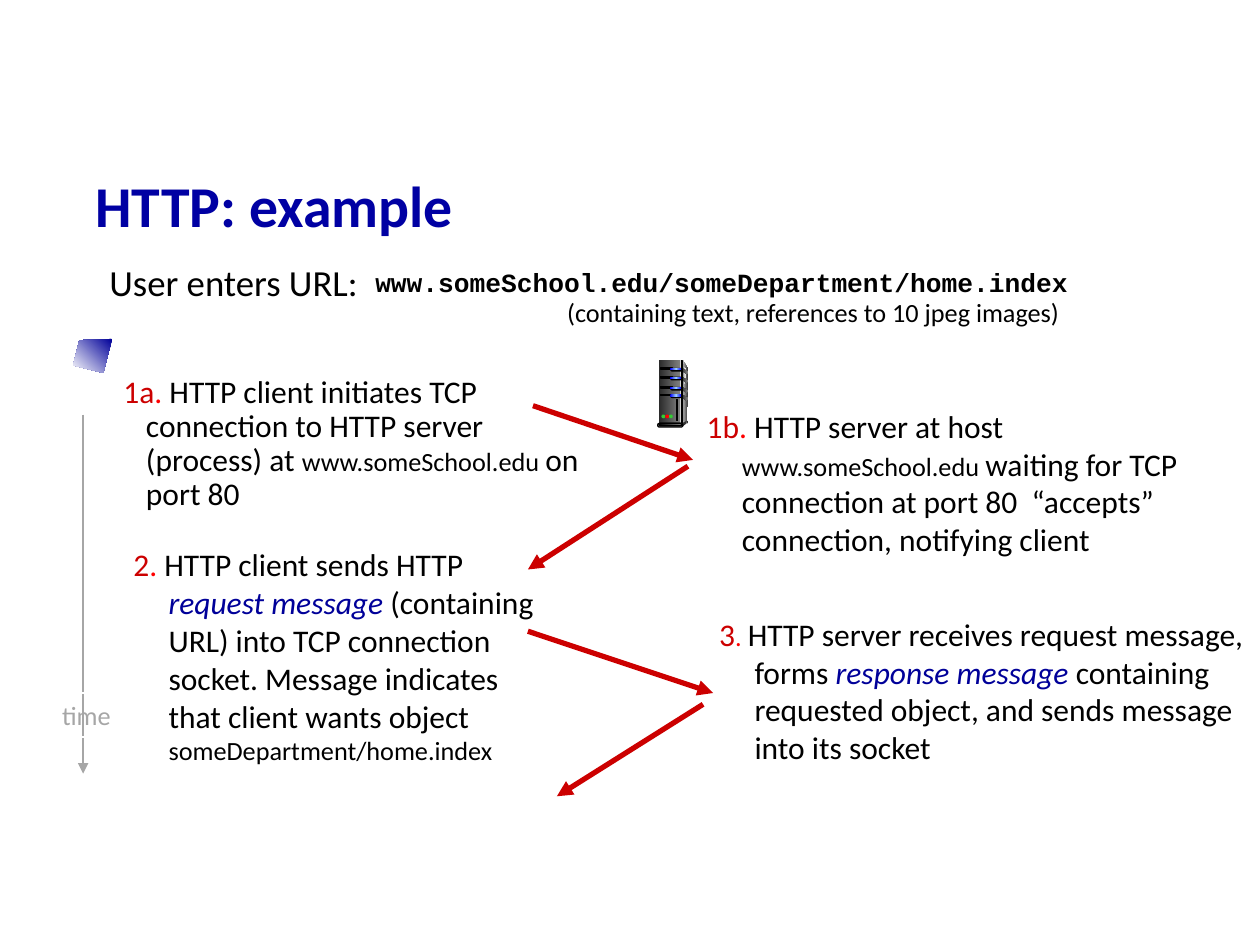
from lxml import etree
from pptx import Presentation
from pptx.dml.color import RGBColor
from pptx.enum.shapes import MSO_CONNECTOR, MSO_SHAPE
from pptx.enum.text import MSO_ANCHOR, PP_ALIGN
from pptx.oxml.ns import qn
from pptx.util import Inches, Pt

COLS, ROWS = 100, 75
CELL = Inches(10) / COLS

COLORS = {
    "title": "0000A3", "text": "000000", "step": "CC0000", "dot": "FF0000",
    "message": "000099", "time": "A6A6A6", "white": "FFFFFF",
    "dark": "292929", "edge": "333333", "mid": "808080", "pale": "DDDDDD",
    "shine": "F8F8F8", "blue": "0000FF", "sky": "99CCFF", "green": "33CC33",
}
DARK_METAL = ("dark", "mid")


def grid(*cells):
    return [round(c * CELL) for c in cells]


def rgb(name):
    return RGBColor.from_string(COLORS[name])


def set_fill(sp, fill, angle=0):
    """Fill with one colour name, or with a gradient when given a tuple of names."""
    if fill is None:
        sp.fill.background()
    elif isinstance(fill, str):
        sp.fill.solid()
        sp.fill.fore_color.rgb = rgb(fill)
    else:
        sp.fill.gradient()
        stops = sp._element.spPr.find(".//" + qn("a:gsLst"))
        for gs in list(stops):
            stops.remove(gs)
        for i, name in enumerate(fill):
            gs = etree.SubElement(stops, qn("a:gs"), pos=str(100000 * i // (len(fill) - 1)))
            etree.SubElement(gs, qn("a:srgbClr"), val=COLORS[name])
        stops.getparent().find(qn("a:lin")).set("ang", str(angle * 60000))


def style(sp, fill, line=None, angle=0):
    sp.shadow.inherit = False
    set_fill(sp, fill, angle)
    if line:
        sp.line.color.rgb = rgb(line)
        sp.line.width = Pt(0.75)
    else:
        sp.line.fill.background()
    return sp


def add_block(shapes, at, fill, line=None, kind=MSO_SHAPE.RECTANGLE):
    sp = shapes.add_shape(kind, *grid(*at))
    if kind == MSO_SHAPE.ROUNDED_RECTANGLE:
        sp.adjustments[0] = 0.5
    return style(sp, fill, line)


def add_polygon(shapes, points, fill, angle=0):
    start, *rest = [grid(*pt) for pt in points]
    builder = shapes.build_freeform(*start)
    builder.add_line_segments(rest, close=True)
    return style(builder.convert_to_shape(), fill, angle=angle)


def add_arrow(shapes, start, end, color="step", width=3):
    cn = shapes.add_connector(MSO_CONNECTOR.STRAIGHT, *grid(*start, *end))
    cn.line.color.rgb = rgb(color)
    cn.line.width = Pt(width)
    etree.SubElement(cn.line._get_or_add_ln(), qn("a:tailEnd"), type="triangle")
    etree.SubElement(cn._element.spPr, qn("a:effectLst"))


def write(sp, runs, size=18, font="Calibri", bold=False, spacing=None, align=PP_ALIGN.LEFT,
          anchor=MSO_ANCHOR.TOP, indent=(0, 0), wrap=True):
    """Write runs of (text, colour, size, italic); the last two may be left out."""
    tf = sp.text_frame
    tf.word_wrap = wrap
    tf.vertical_anchor = anchor
    p = tf.paragraphs[0]
    p.alignment = align
    p.line_spacing = spacing
    margin, first = grid(*indent)
    pPr = p._p.get_or_add_pPr()
    pPr.set("marL", str(margin))
    pPr.set("indent", str(first))
    for text, color, run_size, italic in ((*r, size, False)[:4] if len(r) == 2
                                          else (*r, False)[:4] for r in runs):
        r = p.add_run()
        r.text = text
        r.font.name = font
        r.font.size = Pt(run_size)
        r.font.bold = bold
        r.font.italic = italic
        r.font.color.rgb = rgb(color)


def add_text(shapes, at, runs, **fmt):
    write(shapes.add_textbox(*grid(*at)), runs, **fmt)


def add_server(shapes):
    g = shapes.add_group_shape().shapes
    rounded, oval = MSO_SHAPE.ROUNDED_RECTANGLE, MSO_SHAPE.OVAL
    add_polygon(g, [(54.2, 28.6), (54.6, 29.3), (54.5, 33.4), (54.1, 33.6)], ("pale", "edge"))
    add_block(g, (52.3, 28.6, 1.7, 5), DARK_METAL)
    add_polygon(g, [(54.2, 28.9), (54.4, 29.3), (54.2, 33.5)], ("mid", "shine"))
    for y in (29.2, 29.9, 30.7, 31.3):
        add_block(g, (52.4, y, 1, 0.1), "text", "text")
        add_block(g, (53.2, y, 1, 0.3), "text", kind=rounded)
        add_block(g, (53.2, y, 0.9, 0.2), ("blue", "sky", "blue"), kind=rounded)
        add_polygon(g, [(54.1, y), (54.6, y + 0.3), (54.5, y + 0.5), (54.1, y + 0.2)], DARK_METAL)
    add_block(g, (54.1, 28.6, 0.1, 5), ("edge", "pale", "edge"), "text")
    add_block(g, (54.5, 33.4, 0.1, 0.2), "edge", kind=oval)
    add_polygon(g, [(54.1, 33.6), (54.1, 33.9), (54.5, 33.6), (54.5, 33.4)], "edge")
    add_block(g, (52.2, 33.6, 2, 0.3), "pale", "text", rounded)
    add_block(g, (52.3, 33.6, 1.8, 0.2), ("text", "mid"), "text", rounded)
    for i, lamp in enumerate(("green", "dot", "green")):
        add_block(g, (52.5 + 0.3 * i, 32.9, 0.3, 0.3), lamp, kind=oval)
    add_block(g, (53.7, 31.7, 0.1, 1.7), "dark", "text")


def add_step(shapes, at, number, runs, **fmt):
    add_text(shapes, at, [(number, "step"), *runs], **{"indent": (2.8, -2.8), **fmt})


def add_time_axis(shapes):
    add_arrow(shapes, (6.6, 32.9), (6.6, 61.4), "time", 1.5)
    label = add_block(shapes, (3.9, 55, 5.9, 3.5), None, "white")
    write(label, [("time", "time")], size=15, align=PP_ALIGN.CENTER, wrap=False)


def add_heading(shapes):
    add_text(shapes, (6.6, 12.9, 86.2, 7.3), [("HTTP: example", "title")], size=33,
             bold=True, spacing=0.9, anchor=MSO_ANCHOR.MIDDLE)
    add_text(shapes, (6.6, 20.5, 65.1, 3.8), [("User enters URL:", "text")], size=21,
             spacing=0.9, indent=(2.9, -1.8))
    add_text(shapes, (28.8, 21, 65.1, 3.8),
             [("www.someSchool.edu/someDepartment/home.index", "text")], size=15,
             font="Courier New", bold=True, spacing=0.85, indent=(2.8, -2.8))
    add_text(shapes, (38.4, 23, 52.3, 3.5),
             [("(containing text, references to 10 jpeg images)", "text")], size=15,
             align=PP_ALIGN.CENTER)


def add_steps(shapes):
    add_step(shapes, (7.7, 29.4, 39.8, 15.6), "1a", [
        (".", "dot"), (" HTTP client initiates TCP connection to HTTP server (process) at ", "text"),
        ("www.someSchool.edu ", "text", 15), ("on port 80", "text"),
    ], spacing=0.9, indent=(2.9, -1.8))
    add_step(shapes, (9.6, 42.8, 34.6, 8.8), "2", [
        (".", "dot"), (" HTTP client sends HTTP ", "text"),
        ("request message", "message", 18, True),
        (" (containing URL) into TCP connection socket. Message indicates "
         "that client wants object ", "text"),
        ("someDepartment/home.index", "text", 15),
    ])
    add_step(shapes, (55.1, 31.8, 44.2, 12.3), "1b", [
        (".", "dot"), (" HTTP server at host ", "text"), ("www.someSchool.edu ", "text", 15),
        ("waiting for TCP connection at port 80  “accepts” connection, notifying client", "text"),
    ])
    add_step(shapes, (56.1, 48.3, 44.2, 14.8), "3", [
        (". ", "dot", 15), ("HTTP server receives request message, forms ", "text"),
        ("response message", "message", 18, True),
        (" containing requested object, and sends message into its socket", "text"),
    ])


def main():
    prs = Presentation()
    prs.slide_width, prs.slide_height = grid(COLS, ROWS)
    shapes = prs.slides.add_slide(prs.slide_layouts[6]).shapes
    add_heading(shapes)
    add_time_axis(shapes)
    add_steps(shapes)
    for start, end in (((42.3, 32.2), (55, 36.5)), ((54.6, 37), (41.9, 45.2)),
                       ((41.9, 50.1), (56.6, 55)), ((55.8, 55.9), (44.2, 63.2))):
        add_arrow(shapes, start, end)
    add_polygon(shapes, [(8.9, 26.9), (6.3, 27), (5.8, 29), (8.2, 29.6)],
                ("message", "white"), angle=135)
    add_server(shapes)
    prs.save("out.pptx")


if __name__ == "__main__":
    main()
